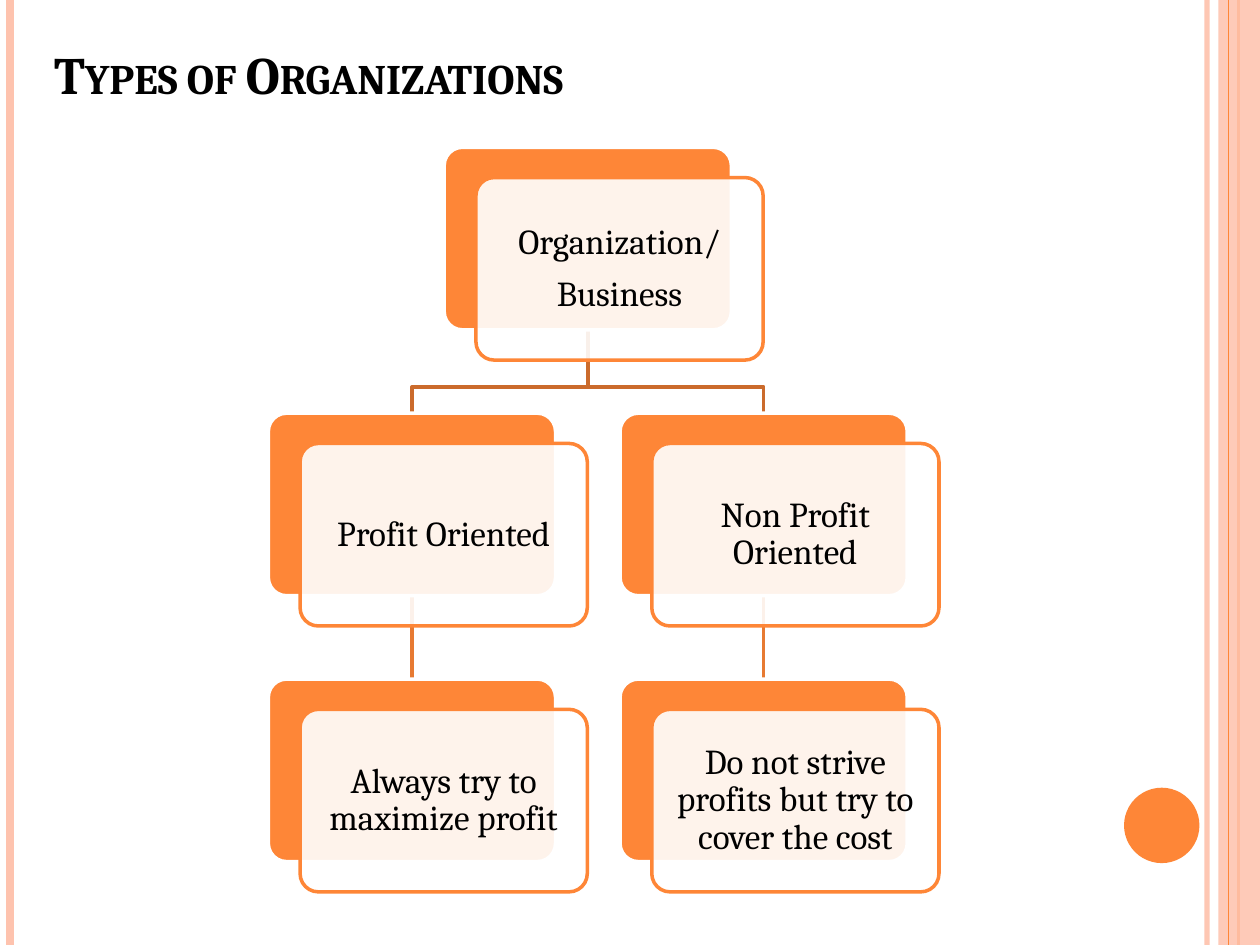
from dataclasses import dataclass

from lxml import etree
from pptx import Presentation
from pptx.dml.color import RGBColor
from pptx.enum.shapes import MSO_CONNECTOR, MSO_SHAPE
from pptx.enum.text import MSO_ANCHOR, PP_ALIGN
from pptx.oxml.ns import qn
from pptx.util import Cm, Pt

RECTANGLE, OVAL = MSO_SHAPE.RECTANGLE, MSO_SHAPE.OVAL
ROUNDED = MSO_SHAPE.ROUNDED_RECTANGLE
STRAIGHT = MSO_CONNECTOR.STRAIGHT
LEFT, CENTER = PP_ALIGN.LEFT, PP_ALIGN.CENTER
MIDDLE, BOTTOM = MSO_ANCHOR.MIDDLE, MSO_ANCHOR.BOTTOM


@dataclass(frozen=True)
class Theme:
    font: str = "Cambria"
    text: str = "000000"
    white: str = "FFFFFF"
    accent: str = "FE8637"
    pale: str = "FEC3AE"
    upper_link: str = "CB6B2C"
    lower_link: str = "E77A32"
    title_size: int = 30
    box_size: int = 20
    line_width: float = 2


THEME = Theme()

# Content: text lines, column, row, parent
TITLE = "Types of Organizations"
BOXES = {
    "root": (["Organization/", "Business"], 0.5, 0, None),
    "profit": (["Profit Oriented"], 0, 1, "root"),
    "profit_goal": (["Always try to maximize profit"], 0, 2, "profit"),
    "non_profit": (["Non Profit Oriented"], 1, 1, "root"),
    "non_profit_goal": (["Do not strive profits but try to cover the cost"], 1, 2,
                        "non_profit"),
}

# Layout in centimetres
SLIDE_WIDTH, SLIDE_HEIGHT = 25.4, 19.05
CHART_LEFT, CHART_TOP = 5.41, 2.97
COLUMN_STEP, ROW_STEP = 7.09, 5.36
BOX_WIDTH, BOX_HEIGHT = 5.79, 3.68
FRONT_SHIFT_X, FRONT_SHIFT_Y = 0.64, 0.61
ELBOW_RISE = 0.53
BOX_INSET = 0.2

presentation = Presentation()
presentation.slide_width, presentation.slide_height = Cm(SLIDE_WIDTH), Cm(SLIDE_HEIGHT)
slide = presentation.slides.add_slide(presentation.slide_layouts[6])
shapes = slide.shapes


def set_alpha(fill_parent, percent):
    color = fill_parent.find(qn("a:solidFill"))[0]
    etree.SubElement(color, qn("a:alpha")).set("val", str(percent * 1000))


def style_line(line, color, width):
    line.color.rgb = RGBColor.from_string(color)
    line.width = Pt(width)


def add_box(kind, left, top, width, height, fill, line=None, alpha=None):
    shape = shapes.add_shape(kind, Cm(left), Cm(top), Cm(width), Cm(height))
    shape.shadow.inherit = False
    shape.fill.solid()
    shape.fill.fore_color.rgb = RGBColor.from_string(fill)
    if alpha:
        set_alpha(shape._element.spPr, alpha)
    if line:
        style_line(shape.line, line, THEME.line_width)
    else:
        shape.line.fill.background()
    if kind == ROUNDED:
        shape.adjustments[0] = 0.1
    return shape


def add_line(x, top, bottom, color, width, alpha=None):
    line = shapes.add_connector(STRAIGHT, Cm(x), Cm(top), Cm(x), Cm(bottom))
    style_line(line.line, color, width)
    if alpha:
        set_alpha(line.line._get_or_add_ln(), alpha)
    etree.SubElement(line._element.spPr, qn("a:effectLst"))


def add_elbow(points, color):
    start, *rest = [(Cm(x), Cm(y)) for x, y in points]
    builder = shapes.build_freeform(*start)
    builder.add_line_segments(rest, close=False)
    elbow = builder.convert_to_shape()
    elbow.shadow.inherit = False
    elbow.fill.background()
    style_line(elbow.line, color, THEME.line_width)


def write_text(shape, lines, *, size, align=LEFT, anchor=MIDDLE, inset=None,
               bold=False, small_caps=False, spacing=None, after=0):
    frame = shape.text_frame
    frame.word_wrap = True
    frame.vertical_anchor = anchor
    if inset is not None:
        frame.margin_left = frame.margin_right = Cm(inset)
        frame.margin_top = frame.margin_bottom = Cm(inset)
    for index, text in enumerate(lines):
        paragraph = frame.add_paragraph() if index else frame.paragraphs[0]
        paragraph.alignment = align
        paragraph.line_spacing = spacing
        paragraph.space_after = Pt(after)
        run = paragraph.add_run()
        run.text = text
        run.font.name, run.font.size, run.font.bold = THEME.font, Pt(size), bold
        run.font.color.rgb = RGBColor.from_string(THEME.text)
        if small_caps:
            run.font._element.set("cap", "small")


def box_corner(name):
    _, column, row, _ = BOXES[name]
    return CHART_LEFT + column * COLUMN_STEP, CHART_TOP + row * ROW_STEP


# Side bands and dot
add_line(24.33, 0, SLIDE_HEIGHT, THEME.pale, 3, alpha=93)
add_line(0.2, 0, SLIDE_HEIGHT, THEME.pale, 4.5)
add_line(24.97, 0, SLIDE_HEIGHT, THEME.accent, 1.5)
add_box(RECTANGLE, 24.56, 0, 0.84, SLIDE_HEIGHT, THEME.pale, alpha=87)
add_line(24.77, 0, SLIDE_HEIGHT, THEME.accent, 0.75)
add_box(OVAL, 22.66, 15.88, 1.52, 1.52, THEME.accent)

# Title
title = shapes.add_textbox(Cm(0.84), Cm(0.64), Cm(20.75), Cm(1.6))
write_text(title, [TITLE], size=THEME.title_size, anchor=BOTTOM, bold=True,
           small_caps=True)

# Links from parent to child, behind the boxes
for name, (_, _, _, parent) in BOXES.items():
    if parent is None:
        continue
    child_left, child_top = box_corner(name)
    parent_left, parent_top = box_corner(parent)
    child_x, parent_x = child_left + BOX_WIDTH / 2, parent_left + BOX_WIDTH / 2
    start_y, turn_y = parent_top + BOX_HEIGHT, child_top - ELBOW_RISE
    if child_x == parent_x:
        add_line(child_x, start_y, child_top, THEME.lower_link, THEME.line_width)
    else:
        add_elbow([(parent_x, start_y), (parent_x, turn_y), (child_x, turn_y),
                   (child_x, child_top)], THEME.upper_link)

# Boxes: solid back, translucent front with the text
for name, (lines, *_) in BOXES.items():
    left, top = box_corner(name)
    add_box(ROUNDED, left, top, BOX_WIDTH, BOX_HEIGHT, THEME.accent, line=THEME.white)
    front = add_box(ROUNDED, left + FRONT_SHIFT_X, top + FRONT_SHIFT_Y, BOX_WIDTH,
                    BOX_HEIGHT, THEME.white, line=THEME.accent, alpha=90)
    write_text(front, lines, size=THEME.box_size, align=CENTER, inset=BOX_INSET,
               spacing=0.9, after=8)

presentation.save("out.pptx")
